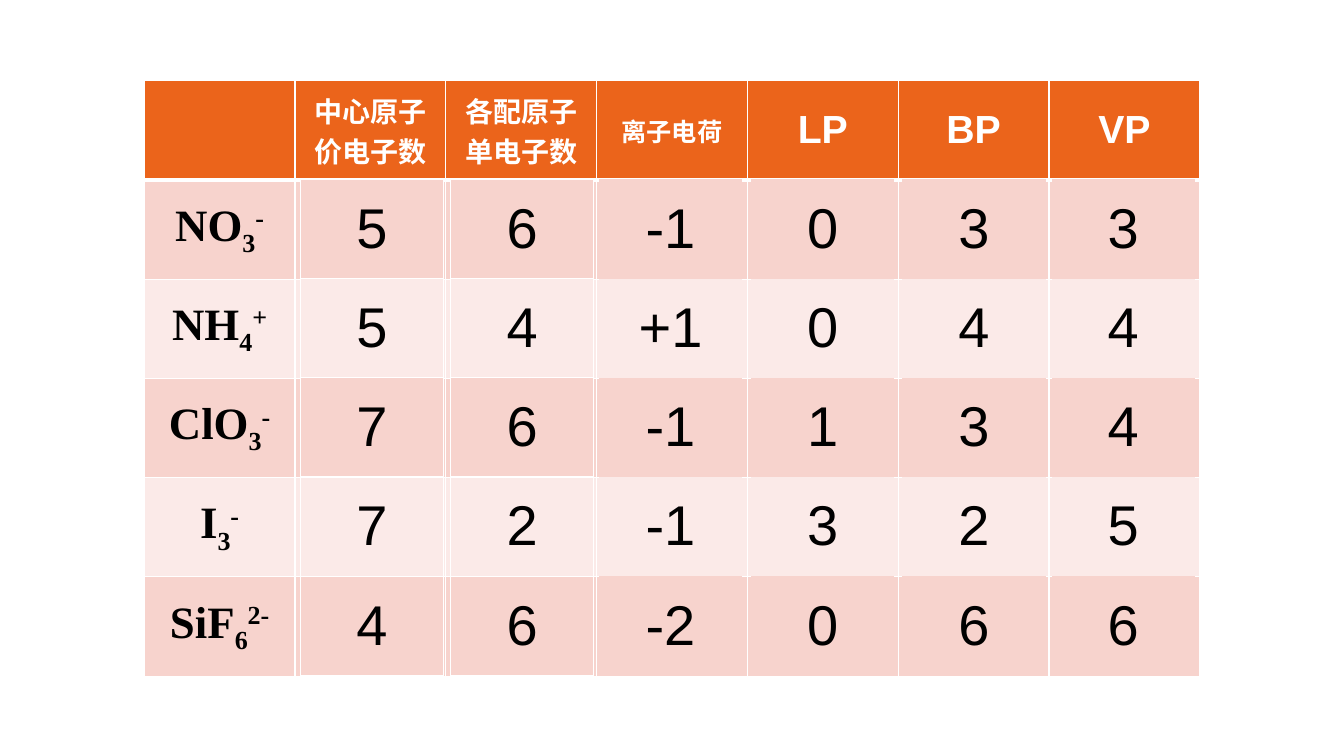
from dataclasses import dataclass

from lxml import etree
from pptx import Presentation
from pptx import oxml
from pptx import util as u
from pptx.dml import color
from pptx.enum import text
from pptx.oxml import ns

NO_STYLE = "{2D5ABB26-0587-4C30-8999-92F81FD0307C}"
WHITE, BLACK, ORANGE = "FFFFFF", "000000", "EB641B"
BANDS = ("F7D3CD", "FBEAE8")
TOP, HEIGHT = 0.8, 5.91
VALUES_TOP, VALUES_HEIGHT = 1.78, 4.92
VALUES_WIDTH = 1.42


@dataclass(frozen=True)
class Header:
    label: str
    size: int


@dataclass(frozen=True)
class Ion:
    symbol: str
    count: str
    charge: str


@dataclass(frozen=True)
class ValueColumn:
    left: float
    values: tuple[str, ...]
    bordered: bool = False


HEADERS = (
    Header("", 18),
    Header("中心原子价电子数", 20),
    Header("各配原子单电子数", 20),
    Header("离子电荷", 18),
    Header("LP", 28),
    Header("BP", 28),
    Header("VP", 28),
)
IONS = (
    Ion("NO", "3", "-"),
    Ion("NH", "4", "+"),
    Ion("ClO", "3", "-"),
    Ion("I", "3", "-"),
    Ion("SiF", "6", "2-"),
)
VALUE_COLUMNS = (
    ValueColumn(2.98, ("5", "5", "7", "7", "4"), True),
    ValueColumn(4.47, ("6", "4", "6", "2", "6"), True),
    ValueColumn(5.94, ("-1", "+1", "-1", "-1", "-2")),
    ValueColumn(7.45, ("0", "0", "1", "3", "0")),
    ValueColumn(8.95, ("3", "4", "3", "2", "6")),
    ValueColumn(10.43, ("3", "4", "4", "5", "6")),
)


def rgb(value: str) -> color.RGBColor:
    return color.RGBColor.from_string(value)


def add_plain_table(slide, rows: int, columns: int, left: float, top: float,
                    width: float, height: float):
    table = slide.shapes.add_table(
        rows, columns, *map(u.Inches, (left, top, width, height))).table
    table.first_row = table.horz_banding = False
    table._tbl.tblPr.find(ns.qn("a:tableStyleId")).text = NO_STYLE
    return table


def add_borders(cell, top: int = 1, bottom: int = 1) -> None:
    properties = cell._tc.get_or_add_tcPr()
    for side, points in (("L", 1), ("R", 1), ("T", top), ("B", bottom)):
        line = etree.SubElement(properties, ns.qn(f"a:ln{side}"), w=str(u.Pt(points)))
        line.append(oxml.parse_xml(
            f'<a:solidFill {ns.nsdecls("a")}><a:srgbClr val="{WHITE}"/></a:solidFill>'))


def paint(cell, fill: str) -> None:
    cell.fill.solid()
    cell.fill.fore_color.rgb = rgb(fill)
    cell.vertical_anchor = text.MSO_ANCHOR.MIDDLE


def set_tight_margins(cell) -> None:
    cell.margin_left = cell.margin_right = u.Inches(0.07)
    cell.margin_top = cell.margin_bottom = 0


def format_text(cell, size: int, font: str, ink: str, bold: bool) -> None:
    paragraph = cell.text_frame.paragraphs[0]
    paragraph.alignment = text.PP_ALIGN.CENTER
    for run in paragraph.runs:
        run.font.size = u.Pt(size)
        run.font.name = font
        run.font.bold = bold
        run.font.color.rgb = rgb(ink)


def write_ion(cell, ion: Ion) -> None:
    paragraph = cell.text_frame.paragraphs[0]
    for part, baseline in ((ion.symbol, 0), (ion.count, -25), (ion.charge, 30)):
        run = paragraph.add_run()
        run.text = part
        if baseline:
            run._r.get_or_add_rPr().set("baseline", str(baseline * 1000))
    format_text(cell, 32, "Times New Roman", BLACK, True)


def draw_ion_table(slide) -> None:
    table = add_plain_table(slide, len(IONS) + 1, len(HEADERS), 1.43, TOP, 10.47, HEIGHT)
    for column, header in enumerate(HEADERS):
        cell = table.cell(0, column)
        add_borders(cell, bottom=3)
        paint(cell, ORANGE)
        set_tight_margins(cell)
        cell.text_frame.text = header.label
        format_text(cell, header.size, "Arial", WHITE, True)
    for row, ion in enumerate(IONS, start=1):
        for column in range(len(HEADERS)):
            cell = table.cell(row, column)
            add_borders(cell, top=3 if row == 1 else 1)
            paint(cell, BANDS[(row - 1) % 2])
            set_tight_margins(cell)
        write_ion(table.cell(row, 0), ion)


def draw_value_column(slide, column: ValueColumn) -> None:
    table = add_plain_table(slide, len(column.values), 1, column.left, VALUES_TOP,
                            VALUES_WIDTH, VALUES_HEIGHT)
    for row, value in enumerate(column.values):
        cell = table.cell(row, 0)
        if column.bordered:
            add_borders(cell)
        paint(cell, BANDS[row % 2])
        cell.text_frame.text = value
        format_text(cell, 40, "Arial", BLACK, False)


def main() -> None:
    presentation = Presentation()
    presentation.slide_width = u.Inches(13.33)
    presentation.slide_height = u.Inches(7.5)
    slide = presentation.slides.add_slide(presentation.slide_layouts[6])
    draw_ion_table(slide)
    for column in VALUE_COLUMNS:
        draw_value_column(slide, column)
    presentation.save("out.pptx")


if __name__ == "__main__":
    main()
